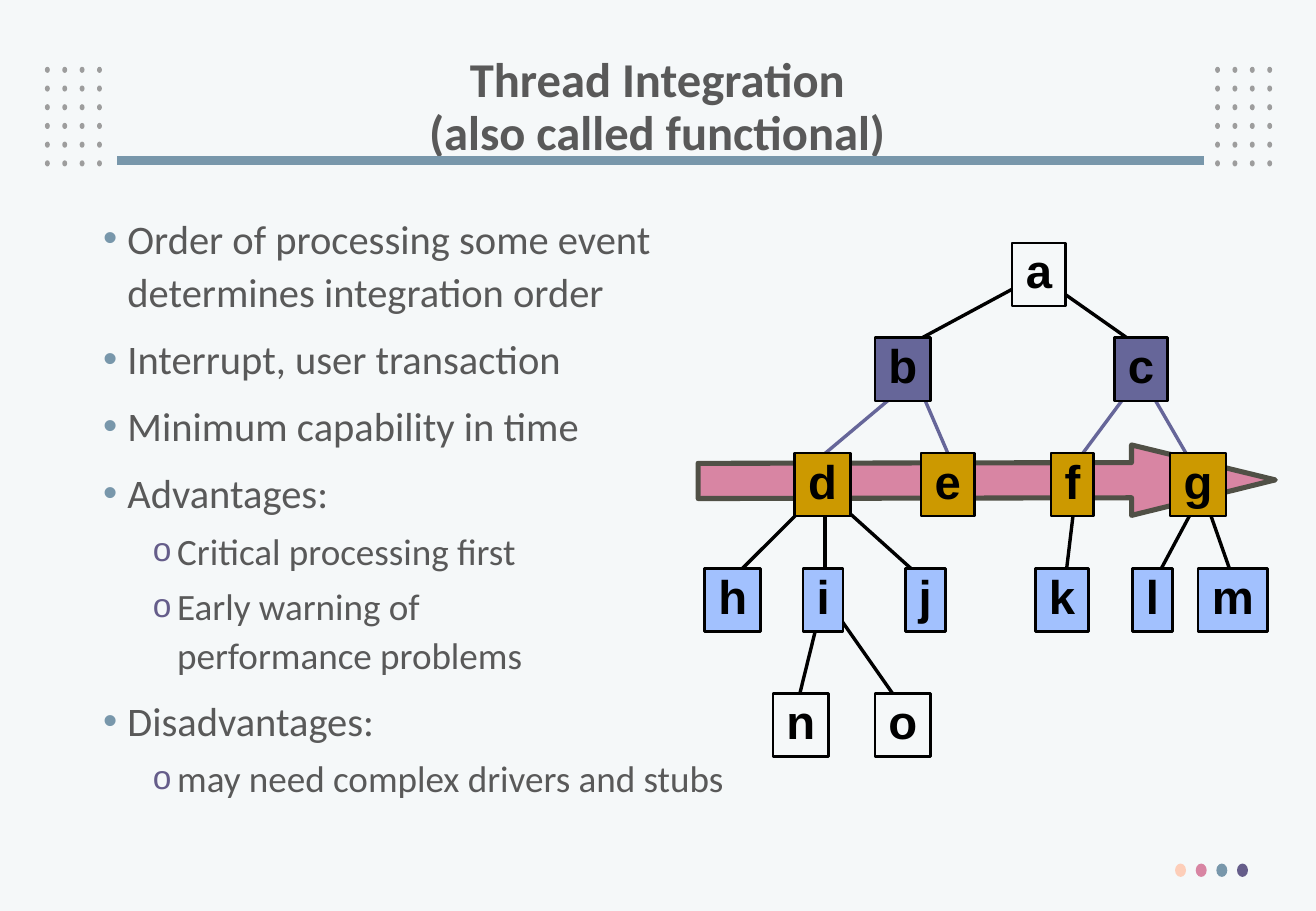
from lxml import etree
from pptx import Presentation
from pptx.dml.color import RGBColor
from pptx.enum.shapes import MSO_CONNECTOR, MSO_SHAPE
from pptx.enum.text import MSO_ANCHOR, MSO_AUTO_SIZE, PP_ALIGN
from pptx.oxml.ns import qn
from pptx.util import Inches, Pt

STRAIGHT = MSO_CONNECTOR.STRAIGHT
OVAL, RECTANGLE, DOWN_ARROW = MSO_SHAPE.OVAL, MSO_SHAPE.RECTANGLE, MSO_SHAPE.DOWN_ARROW
MIDDLE, TOP = MSO_ANCHOR.MIDDLE, MSO_ANCHOR.TOP
NO_AUTOFIT = MSO_AUTO_SIZE.NONE
CENTER, LEFT = PP_ALIGN.CENTER, PP_ALIGN.LEFT

PAPER, BLACK, GREY, DOT_GREY = "F5F8F9", "000000", "595959", "9D9D9D"
PEACH, PINK, BLUE, VIOLET = "FDCEB9", "D885A3", "7897AB", "655D8A"
INDIGO, GOLD, SKY, ARROW_EDGE = "666699", "CC9900", "A2C1FE", "505046"

TITLE = "Thread Integration\v(also called functional)"
POINTS = [
    (0, "Order of processing some event\vdetermines integration order"),
    (0, "Interrupt, user transaction"),
    (0, "Minimum capability in time"),
    (0, "Advantages:"),
    (1, "Critical processing first"),
    (1, "Early warning of\vperformance problems"),
    (0, "Disadvantages:"),
    (1, "may need complex drivers and stubs"),
]
BULLETS = [
    dict(size=24, before=8.1, margin=0.2, char="•", color=BLUE, scale=100),
    dict(size=22, before=4, margin=0.61, char="o", color=VIOLET, scale=90),
]
BRANCHES = [
    (BLACK, [
        (6.77, 4.95, 6.56, 5.8), (6.8, 4.93, 7.43, 5.83),
        (8.59, 2.3, 9.4, 2.87), (8.48, 2.3, 7.46, 2.85),
        (9.83, 4.17, 9.52, 4.75), (9.9, 4.06, 10.17, 4.83),
        (8.85, 4.08, 8.77, 4.75), (6.76, 4.03, 5.99, 4.8),
        (6.93, 4.17, 7.63, 4.8), (6.79, 4.17, 6.79, 4.75),
    ]),
    (INDIGO, [
        (7.58, 3.22, 7.83, 3.8), (9.41, 3.06, 8.86, 3.8),
        (9.4, 3.11, 9.8, 3.8), (7.4, 3.22, 6.71, 3.8),
    ]),
]
MODULE_ROWS = [
    (2, PAPER, [("a", 8.33, 0.44)]),
    (2.78, INDIGO, [("b", 7.2, 0.46), ("c", 9.17, 0.44)]),
    (3.73, GOLD, [("d", 6.54, 0.46), ("e", 7.58, 0.44), ("f", 8.65, 0.35), ("g", 9.63, 0.46)]),
    (4.68, SKY, [("h", 5.8, 0.46), ("i", 6.61, 0.33), ("j", 7.45, 0.33),
                 ("k", 8.52, 0.44), ("l", 9.32, 0.33), ("m", 9.86, 0.57)]),
    (5.71, PAPER, [("n", 6.36, 0.46), ("o", 7.2, 0.46)]),
]


def rgb(value):
    return RGBColor.from_string(value)


class SlideBuilder:
    body_font = "Calibri"
    module_font = "Arial"

    def __init__(self, slide):
        self.slide = slide
        slide.background.fill.solid()
        slide.background.fill.fore_color.rgb = rgb(PAPER)

    def format_paragraph(self, paragraph, size, color, font, spacing, align, bold=False):
        paragraph.alignment = align
        paragraph.line_spacing = spacing
        for run in paragraph.runs:
            run.font.size = Pt(size)
            run.font.name = font
            run.font.bold = bold
            run.font.color.rgb = rgb(color)
        for line_break in paragraph._p.findall(qn("a:br")):
            etree.SubElement(line_break, qn("a:rPr"), sz=str(int(size * 100)))

    def title(self, text, left, top, width, height):
        heading = self.slide.shapes.title
        heading.left, heading.top = Inches(left), Inches(top)
        heading.width, heading.height = Inches(width), Inches(height)
        frame = heading.text_frame
        frame.text = text
        frame.auto_size = NO_AUTOFIT
        frame.vertical_anchor = MIDDLE
        self.format_paragraph(frame.paragraphs[0], 28.8, GREY, self.body_font, 0.9, CENTER, True)

    def bullet_list(self, points, left, top, width, height):
        box = self.slide.shapes.add_textbox(Inches(left), Inches(top), Inches(width), Inches(height))
        frame = box.text_frame
        frame.word_wrap = True
        frame.vertical_anchor = TOP
        for index, (level, text) in enumerate(points):
            style = BULLETS[level]
            point = frame.add_paragraph() if index else frame.paragraphs[0]
            point.text = text
            point.level = level
            point.space_before = Pt(style["before"])
            self.format_paragraph(point, style["size"], GREY, self.body_font, 1.1, LEFT)
            self.bullet(point, style)

    def bullet(self, paragraph, style):
        properties = paragraph._p.get_or_add_pPr()
        properties.set("marL", str(Inches(style["margin"])))
        properties.set("indent", str(Inches(-0.2)))
        bullet_color = etree.SubElement(properties, qn("a:buClr"))
        etree.SubElement(bullet_color, qn("a:srgbClr"), val=style["color"])
        etree.SubElement(properties, qn("a:buSzPct"), val=str(style["scale"] * 1000))
        etree.SubElement(properties, qn("a:buFont"), typeface=self.module_font)
        etree.SubElement(properties, qn("a:buChar"), char=style["char"])

    def shape(self, kind, left, top, width, height, fill, edge=None, weight=0):
        item = self.slide.shapes.add_shape(
            kind, Inches(left), Inches(top), Inches(width), Inches(height))
        item.shadow.inherit = False
        item.fill.solid()
        item.fill.fore_color.rgb = rgb(fill)
        if edge:
            item.line.color.rgb = rgb(edge)
            item.line.width = Pt(weight)
        else:
            item.line.fill.background()
        return item

    def line(self, x1, y1, x2, y2, color, weight):
        connector = self.slide.shapes.add_connector(
            STRAIGHT, Inches(x1), Inches(y1), Inches(x2), Inches(y2))
        connector.line.color.rgb = rgb(color)
        connector.line.width = Pt(weight)
        etree.SubElement(connector._element.spPr, qn("a:effectLst"))

    def dot_grid(self, left, top):
        for row in range(6):
            for column in range(4):
                self.shape(OVAL, left + column * 0.143, top + row * 0.154, 0.04, 0.05, DOT_GREY)

    def thread_arrow(self):
        arrow = self.shape(DOWN_ARROW, 7.83, 1.58, 0.58, 4.75, PINK, ARROW_EDGE, 3)
        arrow.rotation = 269.9
        arrow.adjustments[0] = 0.5
        arrow.adjustments[1] = 2.04

    def module(self, letter, left, top, width, fill):
        box = self.shape(RECTANGLE, left, top, width, 0.52, fill, BLACK, 1.5)
        frame = box.text_frame
        frame.text = letter
        frame.word_wrap = False
        frame.vertical_anchor = MIDDLE
        self.format_paragraph(frame.paragraphs[0], 28, BLACK, self.module_font, 0.85, CENTER, True)


def main():
    deck = Presentation()
    deck.slide_width, deck.slide_height = Inches(10.83), Inches(7.5)
    builder = SlideBuilder(deck.slides.add_slide(deck.slide_layouts[5]))

    for grid_left in (0.37, 10):
        builder.dot_grid(grid_left, 0.55)
    builder.line(9.91, 1.32, 0.96, 1.32, BLUE, 5.25)
    for index, color in enumerate((PEACH, PINK, BLUE, VIOLET)):
        builder.shape(OVAL, 9.67 + index * 0.17, 7.11, 0.09, 0.11, color)

    builder.title(TITLE, 0.74, 0.4, 9.34, 0.98)
    builder.bullet_list(POINTS, 0.75, 1.67, 9.21, 5.67)

    builder.thread_arrow()
    for color, branches in BRANCHES:
        for branch in branches:
            builder.line(*branch, color, 2)
    for top, fill, modules in MODULE_ROWS:
        for letter, left, width in modules:
            builder.module(letter, left, top, width, fill)

    deck.save("out.pptx")


if __name__ == "__main__":
    main()
